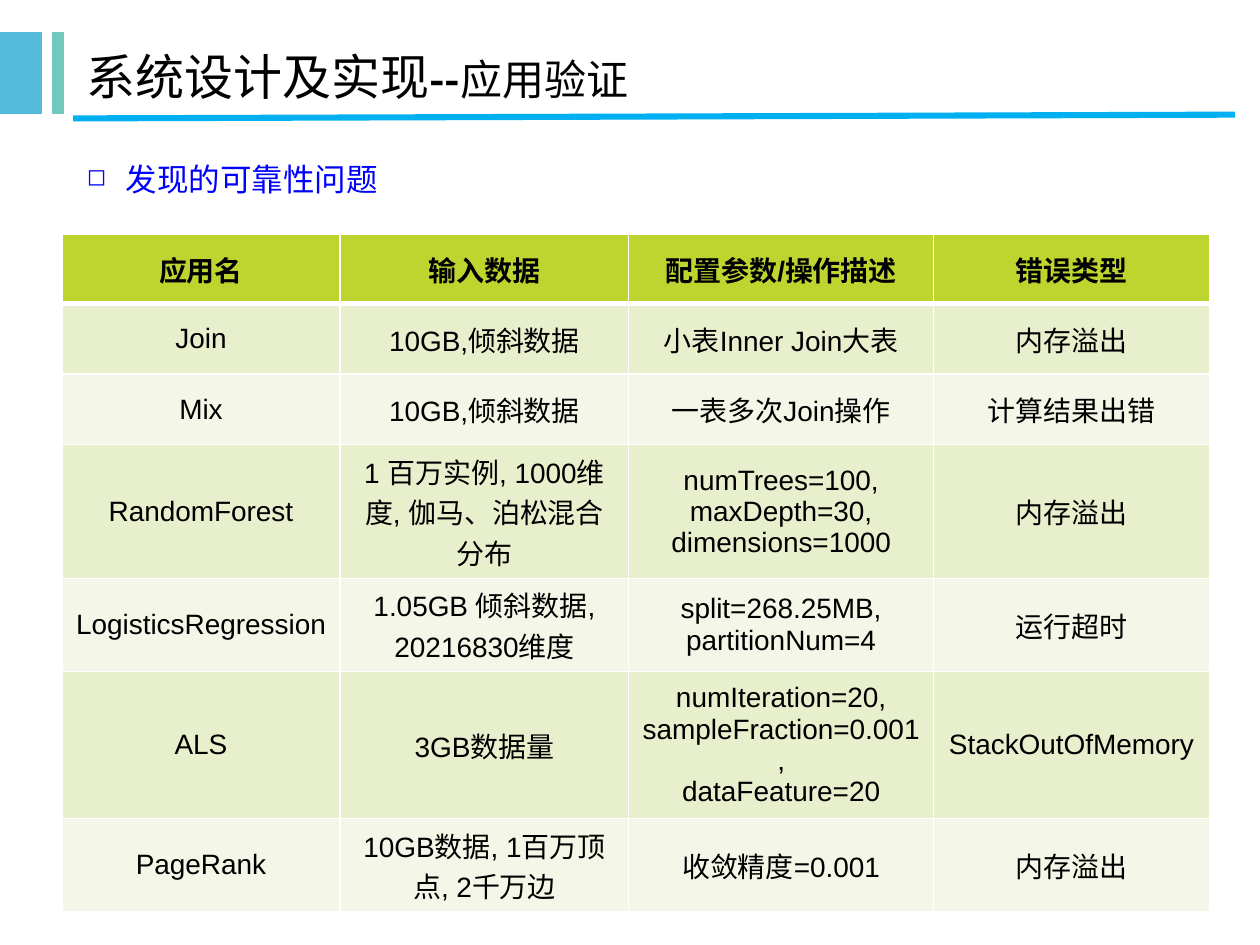
"""Build the slide listing reliability problems found during application validation."""
import pptx
import pptx.dml.color
import pptx.enum.shapes
import pptx.enum.text
import pptx.oxml
import pptx.oxml.ns
import pptx.util
import lxml.etree

Inches = pptx.util.Inches
THEME = {
    "blue": "54BBDC", "teal": "73C8BE", "rule": "00B0F0", "black": "000000",
    "heading": "0000FF", "header": "BED52F", "bands": ("E8EFCD", "F4F7E8"), "border": "FFFFFF",
    "title_size": 28, "subtitle_size": 24, "heading_size": 18, "table_size": 16,
    "latin": "Arial", "chinese": "Noto Sans CJK SC",
}


def color(value):
    return pptx.dml.color.RGBColor.from_string(value)


def style(span, size, value, latin, bold=False):
    span.font.size = pptx.util.Pt(size)
    span.font.color.rgb = color(value)
    span.font.name = latin
    span.font.bold = bold
    east = lxml.etree.SubElement(span._r.get_or_add_rPr(), pptx.oxml.ns.qn("a:ea"))
    east.set("typeface", THEME["chinese"])


deck = pptx.Presentation()
deck.slide_width, deck.slide_height = Inches(10), Inches(7.5)
page = deck.slides.add_slide(deck.slide_layouts[6])

for left, width, fill in ((0, 0.33, THEME["blue"]), (0.42, 0.08, THEME["teal"])):
    bar = page.shapes.add_shape(pptx.enum.shapes.MSO_SHAPE.RECTANGLE,
                                Inches(left), Inches(0.26), Inches(width), Inches(0.64))
    bar.shadow.inherit = False
    bar.fill.solid()
    bar.fill.fore_color.rgb = color(fill)
    bar.line.color.rgb = color(fill)
    bar.line.width = pptx.util.Pt(0.75)

title = page.shapes.add_textbox(Inches(0.59), Inches(0.26), Inches(8.91), Inches(0.69))
title.text_frame.word_wrap = True
title.text_frame.vertical_anchor = pptx.enum.text.MSO_ANCHOR.MIDDLE
for text, size, bold in (("系统设计及实现", THEME["title_size"], False),
                         ("--", THEME["subtitle_size"], True),
                         ("应用验证", THEME["subtitle_size"], False)):
    span = title.text_frame.paragraphs[0].add_run()
    span.text = text
    style(span, size, THEME["black"], THEME["chinese"], bold)

rule = page.shapes.add_connector(pptx.enum.shapes.MSO_CONNECTOR.STRAIGHT,
                                 Inches(0.58), Inches(0.94), Inches(9.8), Inches(0.91))
rule.line.color.rgb = color(THEME["rule"])
rule.line.width = pptx.util.Pt(3.5)
lxml.etree.SubElement(rule._element.spPr, pptx.oxml.ns.qn("a:effectLst"))

rows = (
    ("应用名", "输入数据", "配置参数/操作描述", "错误类型"),
    ("Join", "10GB,倾斜数据", "小表Inner Join大表", "内存溢出"),
    ("Mix", "10GB,倾斜数据", "一表多次Join操作", "计算结果出错"),
    ("RandomForest", "1 百万实例, 1000维度, 伽马、泊松混合分布",
     "numTrees=100, maxDepth=30,\ndimensions=1000", "内存溢出"),
    ("LogisticsRegression", "1.05GB 倾斜数据, 20216830维度",
     "split=268.25MB, partitionNum=4", "运行超时"),
    ("ALS", "3GB数据量",
     "numIteration=20,\nsampleFraction=0.001,\ndataFeature=20", "StackOutOfMemory"),
    ("PageRank", "10GB数据, 1百万顶点, 2千万边", "收敛精度=0.001", "内存溢出"),
)
column_widths = (2.21, 2.29, 2.42, 2.19)
row_heights = (0.55, 0.56, 0.56, 1.06, 0.74, 1.09, 0.74)
table = page.shapes.add_table(len(rows), len(column_widths), Inches(0.49), Inches(1.86),
                              Inches(sum(column_widths)), Inches(sum(row_heights))).table
for column, width in zip(table.columns, column_widths):
    column.width = Inches(width)
for row, height in zip(table.rows, row_heights):
    row.height = Inches(height)
for row_index, texts in enumerate(rows):
    is_header = row_index == 0
    fill = THEME["header"] if is_header else THEME["bands"][(row_index - 1) % 2]
    for column_index, text in enumerate(texts):
        cell = table.cell(row_index, column_index)
        cell.fill.solid()
        cell.fill.fore_color.rgb = color(fill)
        cell.vertical_anchor = pptx.enum.text.MSO_ANCHOR.MIDDLE
        cell.text_frame.text = text
        for para in cell.text_frame.paragraphs:
            para.alignment = pptx.enum.text.PP_ALIGN.CENTER
            style(para.runs[0], THEME["table_size"], THEME["black"], THEME["latin"], is_header)
        if is_header:
            border = pptx.oxml.parse_xml(
                f'<a:lnB {pptx.oxml.ns.nsdecls("a")} w="{pptx.util.Pt(3)}"><a:solidFill>'
                f'<a:srgbClr val="{THEME["border"]}"/></a:solidFill></a:lnB>')
            cell._tc.get_or_add_tcPr().insert(0, border)

heading = page.shapes.add_textbox(Inches(0.59), Inches(1.22), Inches(7.52), Inches(0.4))
heading.text_frame.word_wrap = True
heading.text_frame.auto_size = pptx.enum.text.MSO_AUTO_SIZE.SHAPE_TO_FIT_TEXT
heading.text_frame.text = "发现的可靠性问题"
para = heading.text_frame.paragraphs[0]
style(para.runs[0], THEME["heading_size"], THEME["heading"], THEME["latin"])
properties = para._p.get_or_add_pPr()
properties.set("marL", str(Inches(0.31)))
properties.set("indent", str(Inches(-0.31)))
for tag, name, value in (("a:buSzPct", "val", "75000"), ("a:buChar", "char", "◻")):
    lxml.etree.SubElement(properties, pptx.oxml.ns.qn(tag)).set(name, value)

deck.save("out.pptx")
